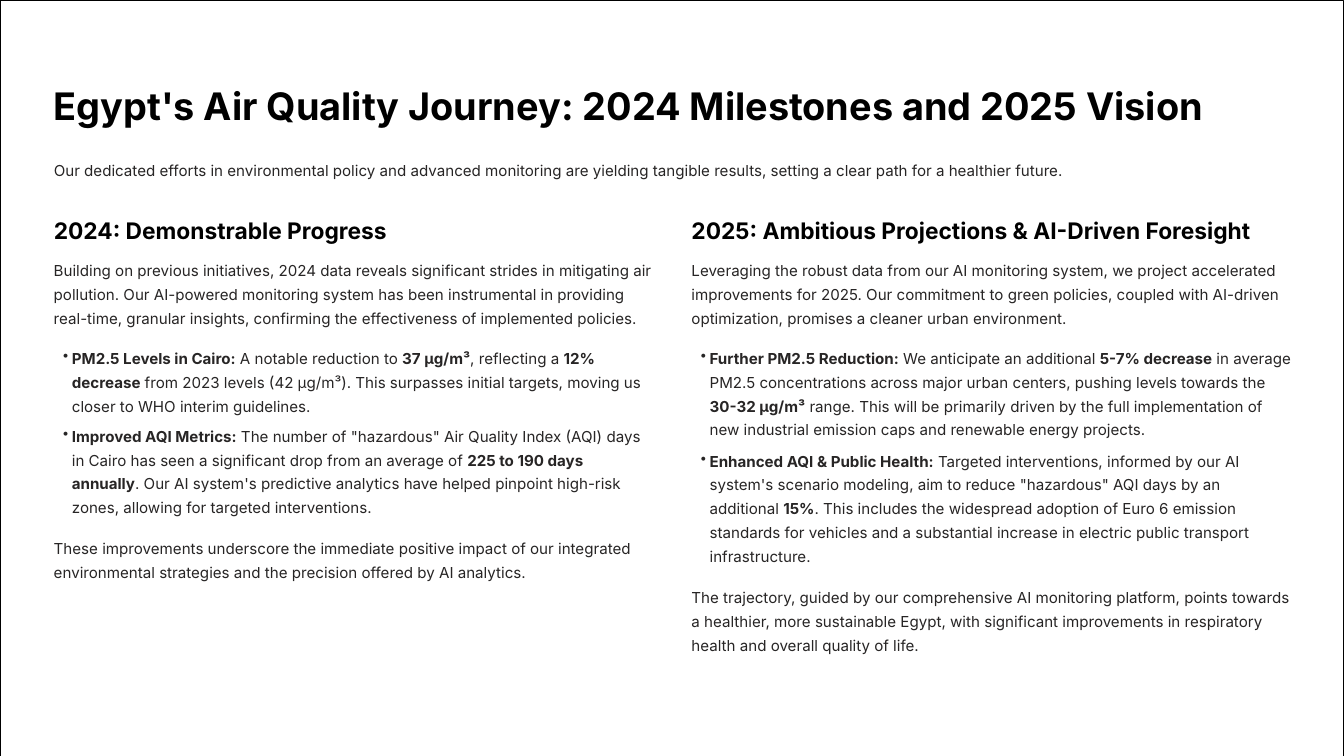
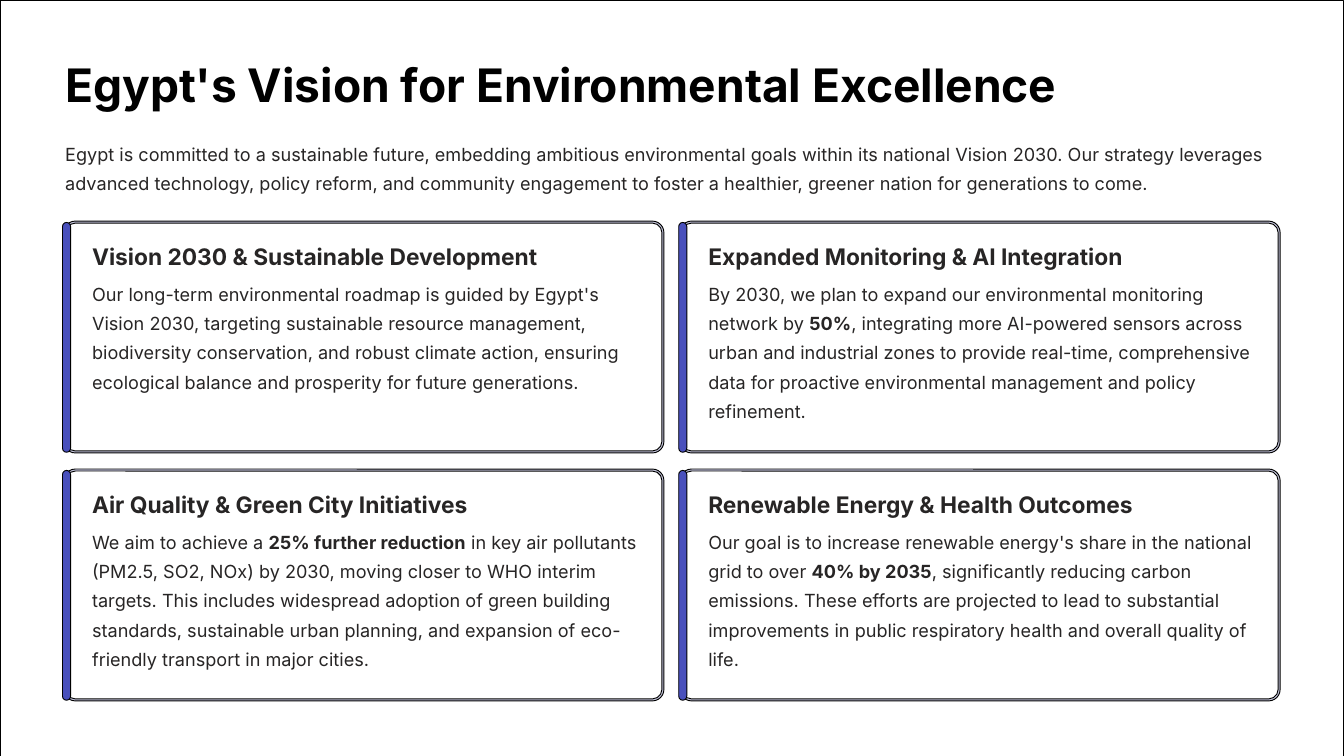
from pptx import Presentation
from pptx.dml.color import RGBColor as RGB
from pptx.enum.shapes import MSO_SHAPE as Kind
from pptx.enum.text import MSO_ANCHOR as Anchor, MSO_AUTO_SIZE as Fit, PP_ALIGN as Align
from pptx.oxml.ns import qn
from pptx.util import Pt
from lxml.etree import SubElement

PX = 9144
WIDE, HIGH = 2000, 1125
HEX = {"page": "FFFFFF", "ink": "272525", "black": "000000",
       "rim": "C0C1D7", "bar": "4950BC"}
FORM = {
    "title": {"size": 40.6, "lead": 50.6, "bold": True, "hue": "black"},
    "big": {"size": 49.4, "lead": 61.9, "bold": True, "hue": "black"},
    "head": {"size": 24.4, "lead": 30.6, "bold": True, "hue": "black"},
    "label": {"size": 24.4, "lead": 30.6, "bold": True, "hue": "ink"},
    "body": {"size": 16.2, "lead": 25.6, "bold": False, "hue": "ink"},
    "note": {"size": 19.4, "lead": 31.2, "bold": False, "hue": "ink"},
}
FRAME = {"margin_left": 0, "margin_top": 0, "margin_right": 0, "margin_bottom": 0,
         "word_wrap": True, "vertical_anchor": Anchor.TOP,
         "auto_size": Fit.SHAPE_TO_FIT_TEXT}


def assign(item, values):
    for key, value in values.items():
        setattr(item, key, value)


class Deck:
    def __init__(self):
        self.file = Presentation()
        assign(self.file, {"slide_width": WIDE * PX, "slide_height": HIGH * PX})
        self.slide = None

    def page(self, text, box, form):
        self.slide = self.file.slides.add_slide(self.file.slide_layouts[5])
        title = self.slide.shapes.title
        assign(title, dict(zip(("left", "top", "width", "height"), [n * PX for n in box])))
        self.fill(title, text, form)
        sheet = self.shape((0, 0, WIDE, HIGH), "page")
        title._element.addprevious(sheet._element)

    def shape(self, box, hue, curve=0):
        kind = Kind.ROUNDED_RECTANGLE if curve else Kind.RECTANGLE
        item = self.slide.shapes.add_shape(kind, *[n * PX for n in box])
        if curve:
            item.adjustments[0] = curve / min(box[2:])
        item.shadow.inherit = False
        item.fill.solid()
        item.fill.fore_color.rgb = RGB.from_string(HEX[hue])
        item.line.color.rgb = RGB.from_string(HEX["black"])
        item.line.width = Pt(1)
        return item

    def text(self, box, text, form, dot=False):
        item = self.slide.shapes.add_textbox(*[n * PX for n in box])
        self.fill(item, text, form, dot)

    def fill(self, item, text, form, dot=False):
        look = FORM[form]
        assign(item.text_frame, FRAME)
        para = item.text_frame.paragraphs[0]
        assign(para, {"alignment": Align.LEFT, "line_spacing": Pt(look["lead"])})
        if dot:
            para.level = 1
            props = para._p.get_or_add_pPr()
            props.set("marL", str(27 * PX))
            props.set("indent", str(-13 * PX))
            SubElement(props, qn("a:buChar")).set("char", "•")
        for spot, part in enumerate(text.split("**")):
            if part:
                run = para.add_run()
                run.text = part
                assign(run.font, {"name": "Inter", "size": Pt(look["size"]),
                                  "bold": look["bold"] or spot % 2 == 1})
                run.font.color.rgb = RGB.from_string(HEX[look["hue"]])

    def column(self, left, head, width, blocks):
        self.text((left, 321, width, 45), head, "head")
        top, last = 381, False
        for lines, dot, text in blocks:
            if dot != last:
                top += 14
            tall = round(36.4 * lines + 7)
            self.text((left, top, 893, tall), text, "body", dot)
            top, last = top + tall, dot

    def card(self, left, top, head, width, lines, text):
        self.shape((left - 2, top - 2, 893, 345), "rim", 17)
        self.shape((left + 1, top + 1, 887, 339), "page", 14)
        self.shape((left - 4, top, 12, 342), "bar", 6)
        self.text((left + 40, top + 28, width, 45), head, "label")
        self.text((left + 40, top + 80, 819, 44 * lines + 10), text, "note")


COLUMNS = [
    (80, "2024: Demonstrable Progress", 499, [
        (3, False, "Building on previous initiatives, 2024 data reveals significant strides in "
         "mitigating air pollution. Our AI-powered monitoring system has been instrumental in "
         "providing real-time, granular insights, confirming the effectiveness of implemented "
         "policies."),
        (3, True, "**PM2.5 Levels in Cairo:** A notable reduction to **37 µg/m³**, reflecting a "
         "**12% decrease** from 2023 levels (42 µg/m³). This surpasses initial targets, moving "
         "us closer to WHO interim guidelines."),
        (4, True, "**Improved AQI Metrics:** The number of \"hazardous\" Air Quality Index (AQI) "
         "days in Cairo has seen a significant drop from an average of **225 to 190 days "
         "annually**. Our AI system's predictive analytics have helped pinpoint high-risk zones, "
         "allowing for targeted interventions."),
        (2, False, "These improvements underscore the immediate positive impact of our integrated "
         "environmental strategies and the precision offered by AI analytics."),
    ]),
    (1029, "2025: Ambitious Projections & AI-Driven Foresight", 838, [
        (3, False, "Leveraging the robust data from our AI monitoring system, we project "
         "accelerated improvements for 2025. Our commitment to green policies, coupled with "
         "AI-driven optimization, promises a cleaner urban environment."),
        (4, True, "**Further PM2.5 Reduction:** We anticipate an additional **5-7% decrease** in "
         "average PM2.5 concentrations across major urban centers, pushing levels towards the "
         "**30-32 µg/m³** range. This will be primarily driven by the full implementation of new "
         "industrial emission caps and renewable energy projects."),
        (5, True, "**Enhanced AQI & Public Health:** Targeted interventions, informed by our AI "
         "system's scenario modeling, aim to reduce \"hazardous\" AQI days by an additional "
         "**15%**. This includes the widespread adoption of Euro 6 emission standards for "
         "vehicles and a substantial increase in electric public transport infrastructure."),
        (3, False, "The trajectory, guided by our comprehensive AI monitoring platform, points "
         "towards a healthier, more sustainable Egypt, with significant improvements in "
         "respiratory health and overall quality of life."),
    ]),
]

CARDS = [
    ("Vision 2030 & Sustainable Development", 675, 4,
     "Our long-term environmental roadmap is guided by Egypt's Vision 2030, targeting "
     "sustainable resource management, biodiversity conservation, and robust climate action, "
     "ensuring ecological balance and prosperity for future generations."),
    ("Expanded Monitoring & AI Integration", 628, 5,
     "By 2030, we plan to expand our environmental monitoring network by **50%**, integrating "
     "more AI-powered sensors across urban and industrial zones to provide real-time, "
     "comprehensive data for proactive environmental management and policy refinement."),
    ("Air Quality & Green City Initiatives", 569, 5,
     "We aim to achieve a **25% further reduction** in key air pollutants (PM2.5, SO2, NOx) by "
     "2030, moving closer to WHO interim targets. This includes widespread adoption of green "
     "building standards, sustainable urban planning, and expansion of eco-friendly transport "
     "in major cities."),
    ("Renewable Energy & Health Outcomes", 643, 5,
     "Our goal is to increase renewable energy's share in the national grid to over **40% by "
     "2035**, significantly reducing carbon emissions. These efforts are projected to lead to "
     "substantial improvements in public respiratory health and overall quality of life."),
]


def main():
    deck = Deck()
    deck.page("Egypt's Air Quality Journey: 2024 Milestones and 2025 Vision",
              (80, 120, 1727, 73), "title")
    deck.text((80, 231, 1841, 44),
              "Our dedicated efforts in environmental policy and advanced monitoring are yielding "
              "tangible results, setting a clear path for a healthier future.", "body")
    for column in COLUMNS:
        deck.column(*column)

    deck.page("Egypt's Vision for Environmental Excellence", (97, 81, 1483, 89), "big")
    deck.text((97, 202, 1807, 98),
              "Egypt is committed to a sustainable future, embedding ambitious environmental goals "
              "within its national Vision 2030. Our strategy leverages advanced technology, policy "
              "reform, and community engagement to foster a healthier, greener nation for "
              "generations to come.", "note")
    for spot, card in enumerate(CARDS):
        row, col = divmod(spot, 2)
        deck.card(97 + 917 * col, 331 + 369 * row, *card)
    deck.file.save("out.pptx")


if __name__ == "__main__":
    main()
